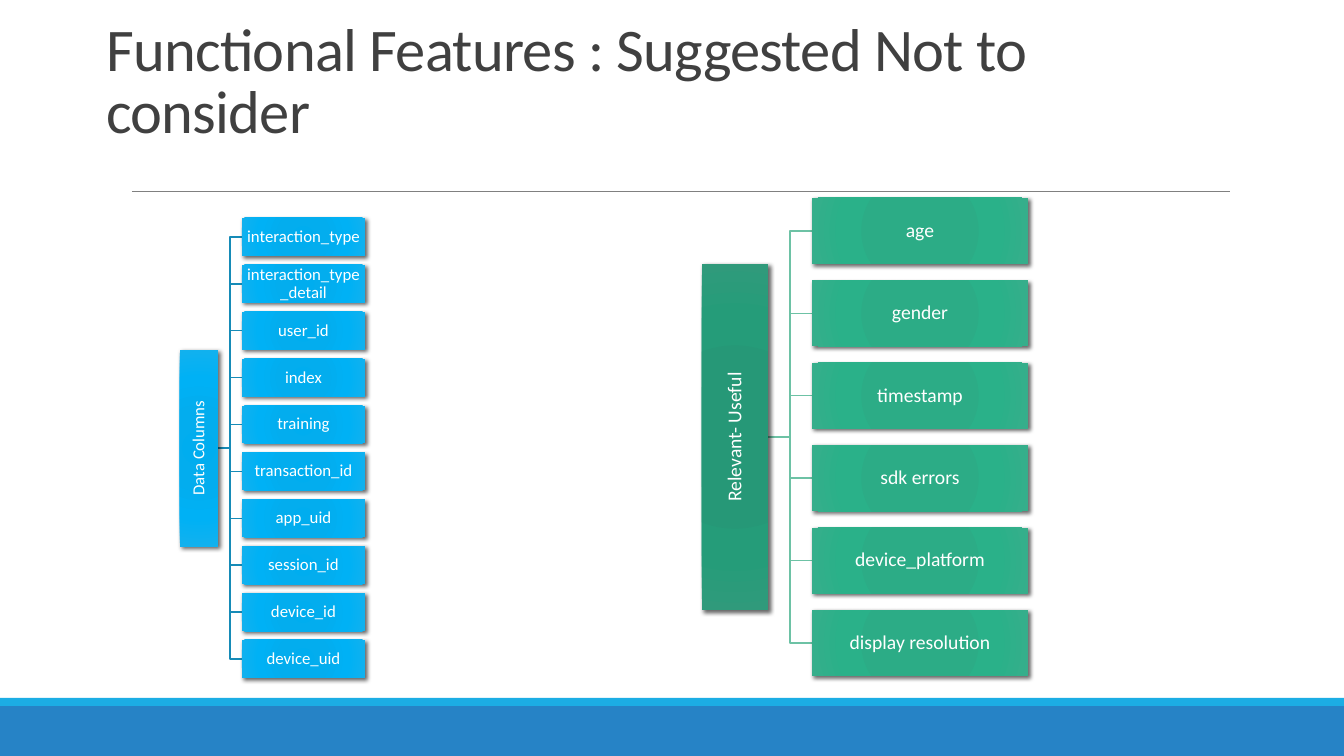
from lxml import etree
from pptx import Presentation
from pptx import util as u
from pptx.dml.color import RGBColor
from pptx.enum import shapes, text
from pptx.oxml import parse_xml
from pptx.oxml.ns import nsdecls, qn

SCALE = 914400 / 100.8
FONT = "Calibri"
COLORS = {
    "band": "2683C6", "strip": "1CADE4", "rule": "808080",
    "title": "404040", "label": "FFFFFF", "shadow": "000000",
    "blue_line": "168BB7", "green_line": "6DC2A5",
}
GRADIENTS = {
    "blue": ("00ADEF", "03ADEE", "00B1F5", "12B1EE"),
    "green_root": ("249876", "269877", "259C79", "309A7B"),
    "green": ("29AD86", "2CAC86", "2AB189", "36AE8B"),
}
STOPS = (0, 34, 70, 100)
DATA_COLUMNS = (
    "interaction_type", "interaction_type_detail", "user_id", "index", "training",
    "transaction_id", "app_uid", "session_id", "device_id", "device_uid",
)
USEFUL_COLUMNS = (
    "age", "gender", "timestamp", "sdk errors", "device_platform", "display resolution",
)


def px(value):
    """Turn pixels into EMU."""
    return u.Emu(round(value * SCALE))


def color(name):
    """Look up a named colour."""
    return RGBColor.from_string(COLORS[name])


def write(shape, words, size, ink, align, anchor, spacing, inset=None, tracking=None):
    """Put one formatted paragraph into a shape."""
    frame = shape.text_frame
    frame.word_wrap = True
    frame.auto_size = text.MSO_AUTO_SIZE.NONE
    frame.vertical_anchor = anchor
    if inset is not None:
        frame.margin_left = frame.margin_right = px(inset)
        frame.margin_top = frame.margin_bottom = px(inset)
    para = frame.paragraphs[0]
    para.alignment = align
    para.line_spacing = spacing
    span = para.add_run()
    span.text = words
    span.font.name = FONT
    span.font.size = u.Pt(size)
    span.font.color.rgb = color(ink)
    if tracking is not None:
        span.font._element.set("spc", str(round(tracking * 100)))


def add_rectangle(parent, left, top, width, height):
    """Add a rectangle without outline or inherited shadow."""
    box = parent.add_shape(shapes.MSO_SHAPE.RECTANGLE, px(left), px(top), px(width), px(height))
    box.shadow.inherit = False
    box.line.fill.background()
    return box


def add_bar(parent, top, height, fill):
    """Add a solid bar across the whole slide."""
    bar = add_rectangle(parent, 0, top, 1344, height)
    bar.fill.solid()
    bar.fill.fore_color.rgb = color(fill)


def add_rule(parent, left, right, y):
    """Add the thin line under the title."""
    rule = parent.add_connector(shapes.MSO_CONNECTOR.STRAIGHT, px(left), px(y), px(right), px(y))
    rule.line.color.rgb = color("rule")
    rule.line.width = u.Pt(0.5)
    etree.SubElement(rule._element.spPr, qn("a:effectLst"))


def add_node(parent, words, left, top, width, height, gradient, size, rotation=0):
    """Add a labelled box with a radial gradient and a soft shadow."""
    box = add_rectangle(parent, left, top, width, height)
    box.rotation = rotation
    box.fill.background()
    stops = "".join(
        f'<a:gs pos="{stop * 1000}"><a:srgbClr val="{shade}"/></a:gs>'
        for stop, shade in zip(STOPS, GRADIENTS[gradient])
    )
    properties = box._element.spPr
    properties.replace(properties.find(qn("a:noFill")), parse_xml(
        f'<a:gradFill {nsdecls("a")} rotWithShape="1"><a:gsLst>{stops}</a:gsLst>'
        '<a:path path="circle"><a:fillToRect l="100000" t="100000" r="100000" b="100000"/>'
        '</a:path></a:gradFill>'
    ))
    properties.find(qn("a:effectLst")).append(parse_xml(
        f'<a:outerShdw {nsdecls("a")} blurRad="{u.Pt(3)}" dist="{u.Pt(2)}" dir="2700000" '
        f'rotWithShape="0"><a:srgbClr val="{COLORS["shadow"]}"><a:alpha val="60000"/>'
        '</a:srgbClr></a:outerShdw>'
    ))
    write(box, words, size, "label", text.PP_ALIGN.CENTER, text.MSO_ANCHOR.MIDDLE, 0.9, inset=1)


def add_elbow(parent, start, end, line):
    """Add a bent branch that turns halfway between two points."""
    middle = (start[0] + end[0]) / 2
    points = [(middle, start[1]), (middle, end[1]), end]
    builder = parent.build_freeform(px(start[0]), px(start[1]), scale=1.0)
    builder.add_line_segments([(px(x), px(y)) for x, y in points], close=False)
    branch = builder.convert_to_shape()
    branch.shadow.inherit = False
    branch.fill.background()
    branch.line.color.rgb = color(line)
    branch.line.width = u.Pt(1)


def add_tree(page, root, leaves, root_left, root_length, leaf_left, leaf_width,
             first_top, last_top, thickness, root_fill, leaf_fill, line, size):
    """Add an upright root box branching to an even column of leaves."""
    parent = page.shapes.add_group_shape().shapes
    pitch = (last_top - first_top) / (len(leaves) - 1)
    tops = [first_top + index * pitch for index in range(len(leaves))]
    center = (first_top + last_top + thickness) / 2
    for top in reversed(tops):
        add_elbow(parent, (root_left + thickness, center),
                  (leaf_left, top + thickness / 2), line)
    add_node(parent, root, root_left + (thickness - root_length) / 2, center - thickness / 2,
             root_length, thickness, root_fill, size, rotation=270)
    for leaf, top in zip(leaves, tops):
        add_node(parent, leaf, leaf_left, top, leaf_width, thickness, leaf_fill, size)


def add_title(page, words):
    """Place and fill the title placeholder."""
    title = page.shapes.title
    title.left, title.top, title.width, title.height = px(96), px(78), px(1151), px(73)
    write(title, words, 43.2, "title", text.PP_ALIGN.LEFT, text.MSO_ANCHOR.BOTTOM, 0.85,
          tracking=-0.5)


def main():
    """Build the slide and save the deck."""
    deck = Presentation()
    deck.slide_width, deck.slide_height = px(1344), px(756)
    page = deck.slides.add_slide(deck.slide_layouts[5])
    add_bar(page.shapes, 706, 50, "band")
    add_bar(page.shapes, 698, 8, "strip")
    add_rule(page.shapes, 132, 1230, 191)
    add_title(page, "Functional Features : Suggested Not to consider")
    add_tree(page, "Data Columns", DATA_COLUMNS, root_left=180, root_length=197,
             leaf_left=242, leaf_width=123, first_top=218, last_top=640, thickness=38,
             root_fill="blue", leaf_fill="blue", line="blue_line", size=12)
    add_tree(page, "Relevant- Useful", USEFUL_COLUMNS, root_left=702, root_length=346,
             leaf_left=812, leaf_width=216, first_top=198, last_top=610, thickness=66,
             root_fill="green_root", leaf_fill="green", line="green_line", size=14)
    deck.save("out.pptx")


main()
